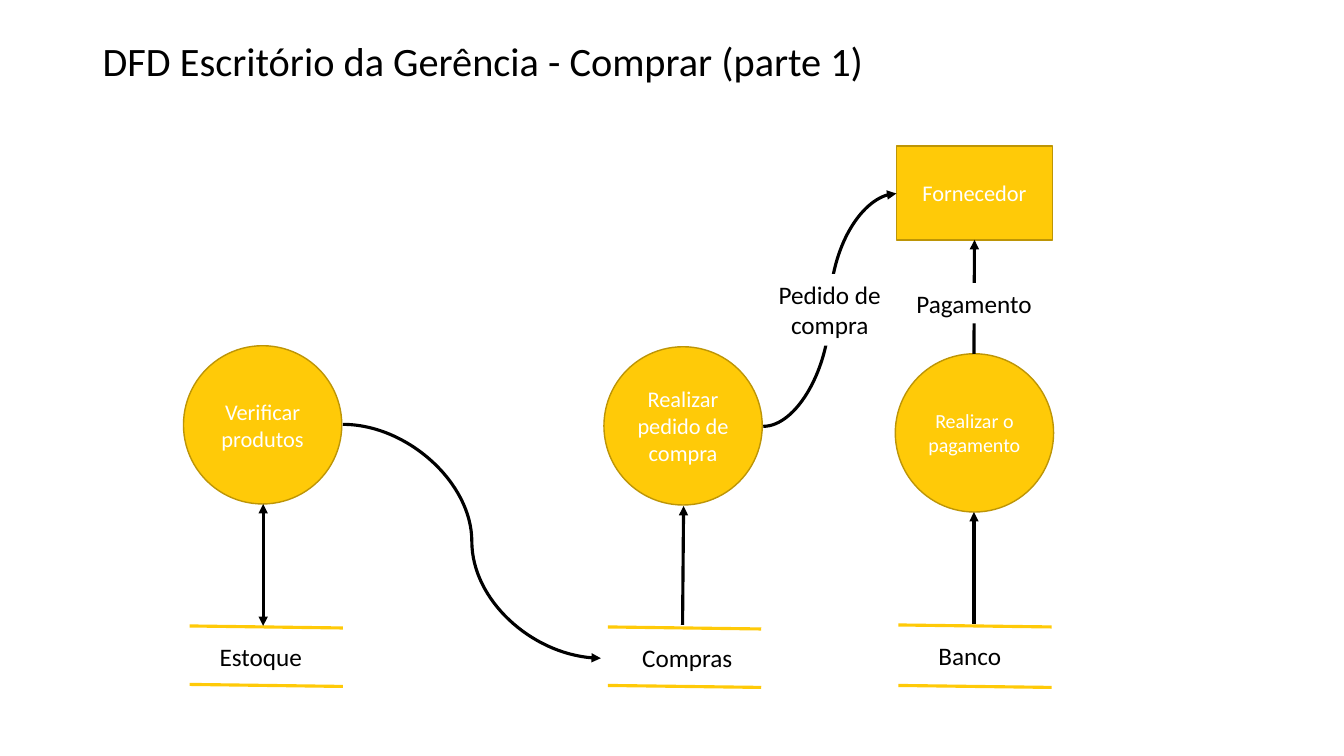
from lxml import etree
from pptx import Presentation
from pptx import util as u
from pptx.dml.color import RGBColor
from pptx.enum import shapes, text
from pptx.oxml.ns import qn

COLORS = {"black": "000000", "white": "FFFFFF", "gold": "FFCA08", "outline": "BD9506"}


def px(value):
    return u.Emu(value * 9144)


def rgb(name):
    return RGBColor.from_string(COLORS[name])


def write(frame, content, size=18, color="black", align=text.PP_ALIGN.LEFT,
          anchor=text.MSO_ANCHOR.TOP, wrap=True, grow=False, spacing=None):
    frame.word_wrap = wrap
    frame.auto_size = text.MSO_AUTO_SIZE.SHAPE_TO_FIT_TEXT if grow else text.MSO_AUTO_SIZE.NONE
    frame.vertical_anchor = anchor
    paragraph = frame.paragraphs[0]
    paragraph.alignment = align
    paragraph.line_spacing = spacing
    run = paragraph.add_run()
    run.text = content
    run.font.name = "Calibri"
    run.font.size = u.Pt(size)
    run.font.color.rgb = rgb(color)


class Diagram:
    def __init__(self, slide):
        self.shapes = slide.shapes

    def label(self, content, x, y, width, height, fill=None, **style):
        box = self.shapes.add_textbox(px(x), px(y), px(width), px(height))
        if fill:
            box.fill.solid()
            box.fill.fore_color.rgb = rgb(fill)
        write(box.text_frame, content, **style)

    def node(self, kind, content, x, y, width, height, size=16):
        node = self.shapes.add_shape(kind, px(x), px(y), px(width), px(height))
        node.shadow.inherit = False
        node.fill.solid()
        node.fill.fore_color.rgb = rgb("gold")
        node.line.color.rgb = rgb("outline")
        node.line.width = u.Pt(1)
        write(node.text_frame, content, size=size, color="white",
              align=text.PP_ALIGN.CENTER, anchor=text.MSO_ANCHOR.MIDDLE)
        return node

    def process(self, content, x, y, size=16):
        return self.node(shapes.MSO_SHAPE.OVAL, content, x, y, 157, 157, size)

    def line(self, start, end, color="black", ends=(), kind=shapes.MSO_CONNECTOR.STRAIGHT):
        line = self.shapes.add_connector(kind, *map(px, start + end))
        line.line.color.rgb = rgb(color)
        line.line.width = u.Pt(2.25)
        for tip in ends:
            etree.SubElement(line.line._get_or_add_ln(), qn(f"a:{tip}"), type="triangle")
        etree.SubElement(line._element.spPr, qn("a:effectLst"))
        return line

    def flow(self, start, end, ends=("tailEnd",), **style):
        return self.line(start, end, ends=ends, **style)

    def curve(self, start, end):
        return self.flow(start, end, kind=shapes.MSO_CONNECTOR.CURVE)

    def store(self, content, x, top, bottom, label_x, label_y, label_width):
        for y in (bottom, top):
            self.line((x, y), (x + 152, y + 2), color="gold")
        self.label(content, label_x, label_y, label_width, 40, wrap=False, grow=True)


def main():
    deck = Presentation()
    deck.slide_width, deck.slide_height = px(1333), px(750)
    dfd = Diagram(deck.slides.add_slide(deck.slide_layouts[6]))
    dfd.label("DFD Escritório da Gerência - Comprar (parte 1)", 92, 40, 1150, 46,
              size=28.8, anchor=text.MSO_ANCHOR.MIDDLE, spacing=0.9)

    dfd.process("Verificar produtos", 182, 343)
    supplier = dfd.node(shapes.MSO_SHAPE.RECTANGLE, "Fornecedor", 889, 145, 155, 93)
    dfd.process("Realizar pedido de compra", 599, 344)
    dfd.process("Realizar o pagamento", 888, 351, size=14.3)

    for store in (("Estoque", 188, 621, 679, 208, 631, 103),
                  ("Compras", 603, 622, 680, 627, 632, 111),
                  ("Banco", 891, 620, 680, 921, 630, 83)):
        dfd.store(*store)

    dfd.flow((261, 500), (261, 621), ends=("headEnd", "tailEnd"))
    dfd.flow((677, 620), (678, 502))
    dfd.flow((966, 619), (966, 508))
    dfd.curve((340, 421), (596, 653))
    dfd.curve((757, 423), (889, 192))
    payment = dfd.flow((966, 351), (966, 238))
    payment.end_connect(supplier, 2)

    for content, *place in (("Pedido de compra", 761, 272, 124, 71),
                            ("Pagamento", 895, 281, 142, 40)):
        dfd.label(content, *place, fill="white", align=text.PP_ALIGN.CENTER, grow=True)

    deck.save("out.pptx")


if __name__ == "__main__":
    main()
